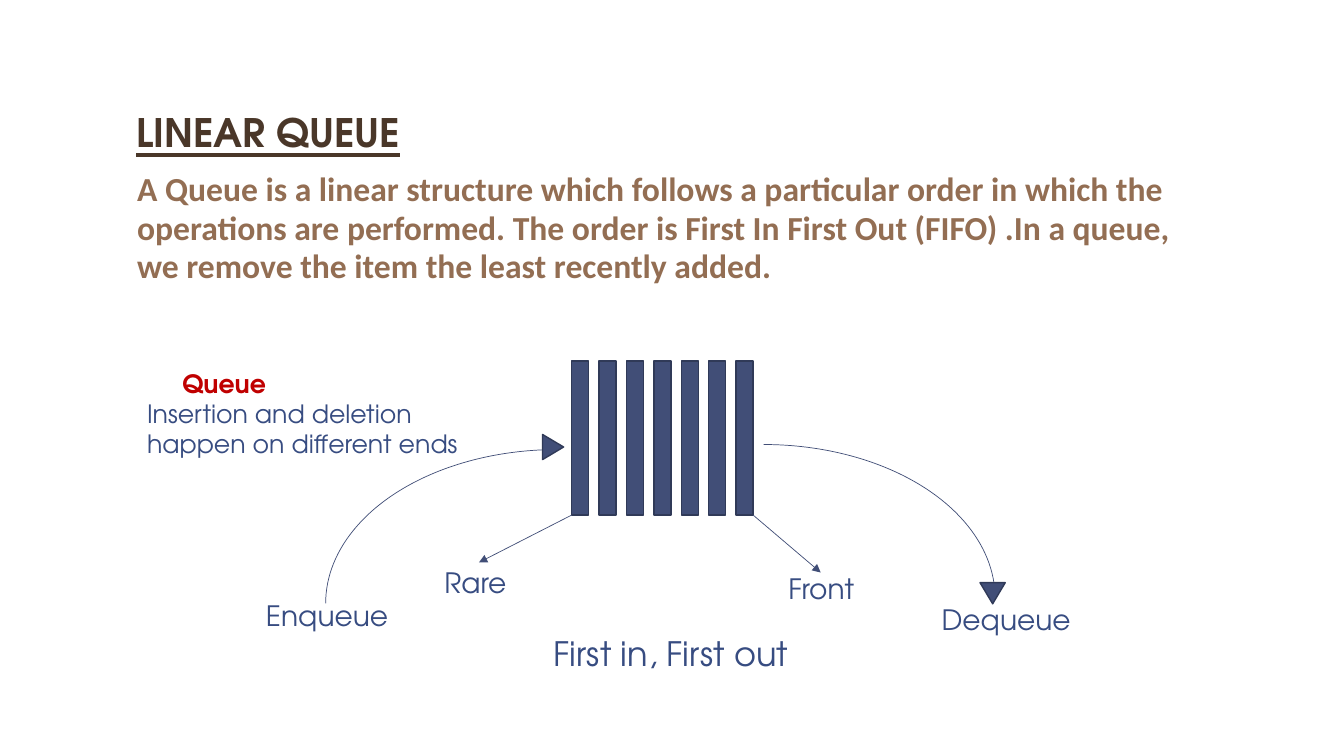
import pptx
from dataclasses import dataclass
from pptx.dml.color import RGBColor
from pptx.enum.shapes import MSO_CONNECTOR, MSO_SHAPE
from pptx.enum.text import MSO_ANCHOR, MSO_AUTO_SIZE, PP_ALIGN
from pptx.oxml.ns import qn
from pptx.oxml.xmlchemy import OxmlElement
from pptx.util import Inches, Pt


@dataclass(frozen=True)
class Theme:
    heading_font: str = "TeX Gyre Adventor"
    body_font: str = "Calibri"
    title: RGBColor = RGBColor.from_string("4A3729")
    body: RGBColor = RGBColor.from_string("936E53")
    label: RGBColor = RGBColor.from_string("374C81")
    accent: RGBColor = RGBColor.from_string("C00000")
    queue: RGBColor = RGBColor.from_string("414E77")
    edge: RGBColor = RGBColor.from_string("303A58")
    title_size: Pt = Pt(28)
    body_size: Pt = Pt(24)
    label_size: Pt = Pt(20)
    note_size: Pt = Pt(18)
    thin: Pt = Pt(0.5)
    outline: Pt = Pt(1)


theme = Theme()


def write(para, text, color, **font_values):
    span = para.add_run()
    span.text = text
    span.font.color.rgb = color
    for name, value in font_values.items():
        setattr(span.font, name, value)


def add_figure(preset, place, fill=None, rotation=0):
    """Add a preset shape: solid with a dark outline, or only a thin line if fill is None."""
    figure = page.shapes.add_shape(preset, *map(Inches, place))
    figure.shadow.inherit = False
    figure.rotation = rotation
    if fill is None:
        figure.fill.background()
    else:
        figure.fill.solid()
        figure.fill.fore_color.rgb = fill
    figure.line.color.rgb = theme.edge if fill else theme.queue
    figure.line.width = theme.outline if fill else theme.thin
    return figure


deck = pptx.Presentation()
deck.slide_width, deck.slide_height = Inches(13.33), Inches(7.5)
page = deck.slides.add_slide(deck.slide_layouts[1])

# Title and definition
placeholders = [
    (page.shapes.title, (1.22, 0.08, 11.11, 1.53), 0.07, 0.85, "LINEAR QUEUE", theme.title,
     {"name": theme.heading_font, "size": theme.title_size, "bold": True, "underline": True}),
    (page.placeholders[1], (1.23, 1.76, 10.94, 1.53), 0.45, 0.95,
     "A Queue is a linear structure which follows a particular order in which the operations "
     "are performed. The order is First In First Out (FIFO) .In a queue, we remove the item "
     "the least recently added.", theme.body,
     {"name": theme.body_font, "size": theme.body_size, "bold": True}),
]
for box, place, bottom, spacing, text, color, font_values in placeholders:
    box.left, box.top, box.width, box.height = map(Inches, place)
    frame_values = {
        "auto_size": MSO_AUTO_SIZE.NONE, "word_wrap": True, "vertical_anchor": MSO_ANCHOR.BOTTOM,
        "margin_left": Inches(0.13), "margin_right": Inches(0.13),
        "margin_top": Inches(0.07), "margin_bottom": Inches(bottom),
    }
    for name, value in frame_values.items():
        setattr(box.text_frame, name, value)
    para = box.text_frame.paragraphs[0]
    para.alignment, para.line_spacing, para.space_before = PP_ALIGN.LEFT, spacing, Pt(0)
    write(para, text, color, **font_values)
    properties = para._p.get_or_add_pPr()
    properties.set("marL", "0")
    properties.set("indent", "0")
    properties.append(OxmlElement("a:buNone"))

# Queue items
bar_count, bar_width, bar_height = 7, 0.17, 1.53
queue_left, queue_right, queue_top = 5.67, 7.47, 3.58
queue_bottom = queue_top + bar_height
bar_step = (queue_right - queue_left - bar_width) / (bar_count - 1)
for index in range(bar_count):
    add_figure(MSO_SHAPE.RECTANGLE,
               (queue_left + index * bar_step, queue_top, bar_width, bar_height), theme.queue)

# Pointers from the lower corners to the two end labels
for start_x, end_x, end_y in [(queue_left, 4.75, 5.58), (queue_right, 8.14, 5.68)]:
    pointer = page.shapes.add_connector(
        MSO_CONNECTOR.STRAIGHT, *map(Inches, (start_x, queue_bottom, end_x, end_y)))
    pointer.line.color.rgb = theme.queue
    pointer.line.width = theme.thin
    arrowhead = OxmlElement("a:tailEnd")
    arrowhead.set("type", "triangle")
    pointer._element.spPr.find(qn("a:ln")).append(arrowhead)
    pointer._element.spPr.append(OxmlElement("a:effectLst"))

# Curved paths into and out of the queue
add_figure(MSO_SHAPE.ARC, (5.28, 4.41, 4.59, 3.05))
enqueue_path = add_figure(MSO_SHAPE.ARC, (3.23, 4.46, 4.59, 3.05))
enqueue_path._element.spPr.find(qn("a:xfrm")).set("flipH", "1")
for left, top, rotation in [(5.36, 4.33, 90), (9.72, 5.78, 180)]:
    add_figure(MSO_SHAPE.ISOSCELES_TRIANGLE, (left, top, 0.25, 0.21), theme.queue, rotation)

# Note and labels: place, size, lines
captions = [
    ((1.36, 3.6, 3.38, 1.01), theme.note_size,
     ["Queue", "Insertion and deletion", "happen on different ends"]),
    ((2.54, 5.89, 2, 0.44), theme.label_size, ["Enqueue"]),
    ((7.72, 5.62, 2, 0.44), theme.label_size, ["Front"]),
    ((4.31, 5.56, 1.86, 0.44), theme.label_size, ["Rare"]),
    ((9.24, 5.93, 2, 0.44), theme.label_size, ["Dequeue"]),
    ((5.39, 6.23, 3.35, 0.5), theme.body_size, ["First in, First out"]),
]
for place, size, lines in captions:
    box = page.shapes.add_textbox(*map(Inches, place))
    box.text_frame.word_wrap = True
    box.text_frame.auto_size = MSO_AUTO_SIZE.SHAPE_TO_FIT_TEXT
    for index, line in enumerate(lines):
        para = box.text_frame.paragraphs[0] if index == 0 else box.text_frame.add_paragraph()
        is_heading = line == "Queue"
        if is_heading:
            para._p.get_or_add_pPr().set("marL", str(Inches(0.35)))
        write(para, line, theme.accent if is_heading else theme.label,
              name=theme.heading_font, size=size, bold=is_heading)

deck.save("out.pptx")
